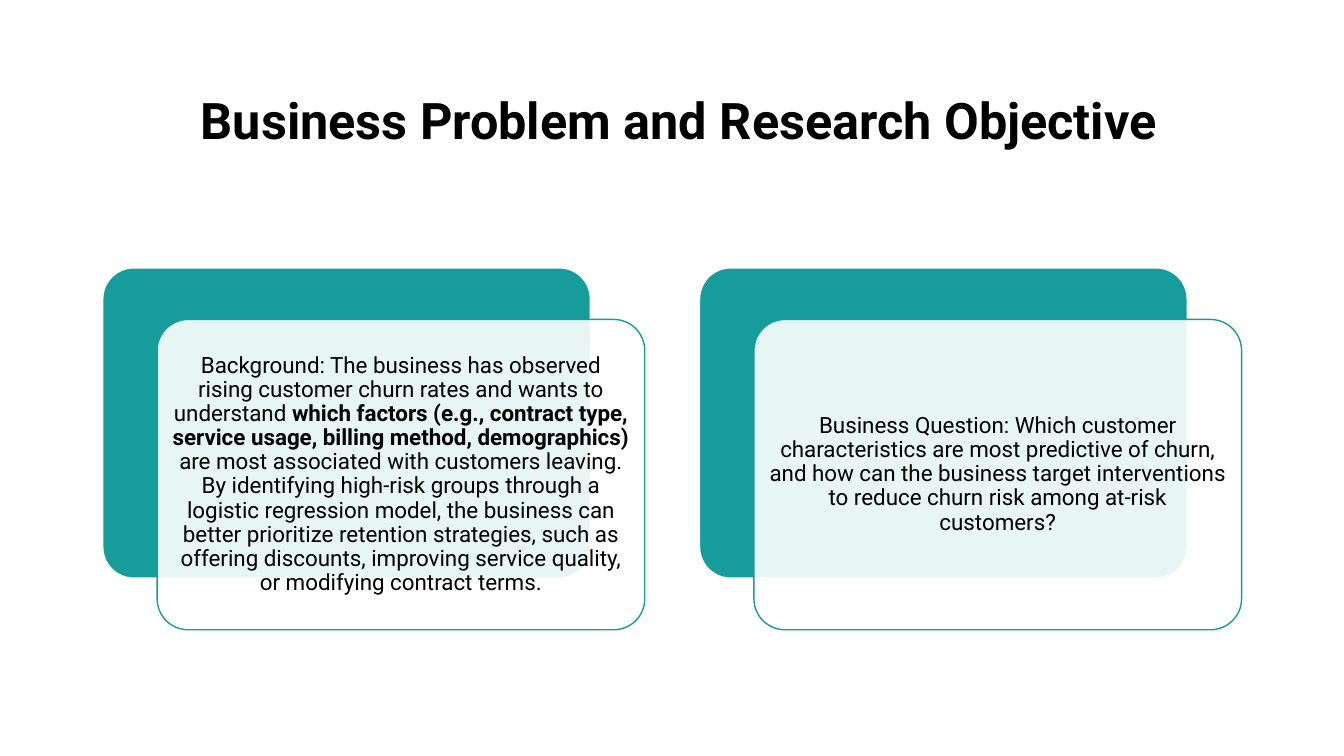
import dataclasses

import pptx
import pptx.dml.color
import pptx.enum.shapes
import pptx.enum.text
import pptx.oxml
import pptx.oxml.ns
import pptx.util
from pptx.util import Cm


@dataclasses.dataclass(frozen=True)
class Theme:
    font: str = "Roboto"
    teal: str = "169C9A"
    white: str = "FFFFFF"
    black: str = "000000"
    title_size: int = 36
    body_size: int = 16
    line_spacing: float = 0.9
    card_opacity: int = 90


THEME = Theme()

# Card geometry: a teal panel with a translucent card shifted over it
PANEL_LEFT, PANEL_TOP = Cm(2.59), Cm(6.75)
PANEL_WIDTH, PANEL_HEIGHT = Cm(12.29), Cm(7.82)
PANEL_PITCH = Cm(15.04)
CARD_SHIFT_X, CARD_SHIFT_Y = Cm(1.37), Cm(1.3)

# Each card is a list of (text, bold) runs
CARDS = [
    [
        ("Background: The business has observed rising customer churn rates "
         "and wants to understand ", False),
        ("which factors (e.g., contract type, service usage, billing method, "
         "demographics)", True),
        (" are most associated with customers leaving. By identifying "
         "high-risk groups through a logistic regression model, the business "
         "can better prioritize retention strategies, such as offering "
         "discounts, improving service quality, or modifying contract terms.",
         False),
    ],
    [
        ("Business Question: Which customer characteristics are most "
         "predictive of churn, and how can the business target interventions "
         "to reduce churn risk among at-risk customers?", False),
    ],
]


def color(value):
    return pptx.dml.color.RGBColor.from_string(value)


def write_text(shape, runs, size, margin):
    """Fill a shape with one centred paragraph of (text, bold) runs."""
    frame = shape.text_frame
    frame.word_wrap = True
    frame.vertical_anchor = pptx.enum.text.MSO_ANCHOR.MIDDLE
    frame.margin_left = frame.margin_right = margin
    frame.margin_top = frame.margin_bottom = margin
    paragraph = frame.paragraphs[0]
    paragraph.alignment = pptx.enum.text.PP_ALIGN.CENTER
    paragraph.line_spacing = THEME.line_spacing
    for text, bold in runs:
        run = paragraph.add_run()
        run.text = text
        run.font.name = THEME.font
        run.font.size = pptx.util.Pt(size)
        run.font.bold = bold
        run.font.color.rgb = color(THEME.black)


def add_title(slide, text):
    title = slide.shapes.add_textbox(Cm(4.4), Cm(1.52), Cm(25.43), Cm(3.15))
    write_text(title, [(text, True)], THEME.title_size, Cm(0.25))


def add_rounded_box(slide, left, top, fill, line):
    box = slide.shapes.add_shape(
        pptx.enum.shapes.MSO_SHAPE.ROUNDED_RECTANGLE,
        left, top, PANEL_WIDTH, PANEL_HEIGHT)
    box.adjustments[0] = 0.1
    box.shadow.inherit = False
    box.fill.solid()
    box.fill.fore_color.rgb = color(fill)
    box.line.color.rgb = color(line)
    box.line.width = pptx.util.Pt(1)
    return box


def set_opacity(shape, percent):
    fill_color = shape.fill._xPr.find(
        pptx.oxml.ns.qn("a:solidFill")).find(pptx.oxml.ns.qn("a:srgbClr"))
    alpha = pptx.oxml.parse_xml(
        f'<a:alpha {pptx.oxml.ns.nsdecls("a")} val="{percent * 1000}"/>')
    fill_color.append(alpha)


def add_card(slide, left, runs):
    add_rounded_box(slide, left, PANEL_TOP, THEME.teal, THEME.white)
    card = add_rounded_box(slide, left + CARD_SHIFT_X,
                           PANEL_TOP + CARD_SHIFT_Y, THEME.white, THEME.teal)
    set_opacity(card, THEME.card_opacity)
    write_text(card, runs, THEME.body_size, Cm(0.14))


def main():
    presentation = pptx.Presentation()
    presentation.slide_width = Cm(33.87)
    presentation.slide_height = Cm(19.05)
    slide = presentation.slides.add_slide(presentation.slide_layouts[6])

    # Heading
    add_title(slide, "Business Problem and Research Objective")

    # Background and question cards
    for index, runs in enumerate(CARDS):
        add_card(slide, PANEL_LEFT + index * PANEL_PITCH, runs)

    presentation.save("out.pptx")


if __name__ == "__main__":
    main()
